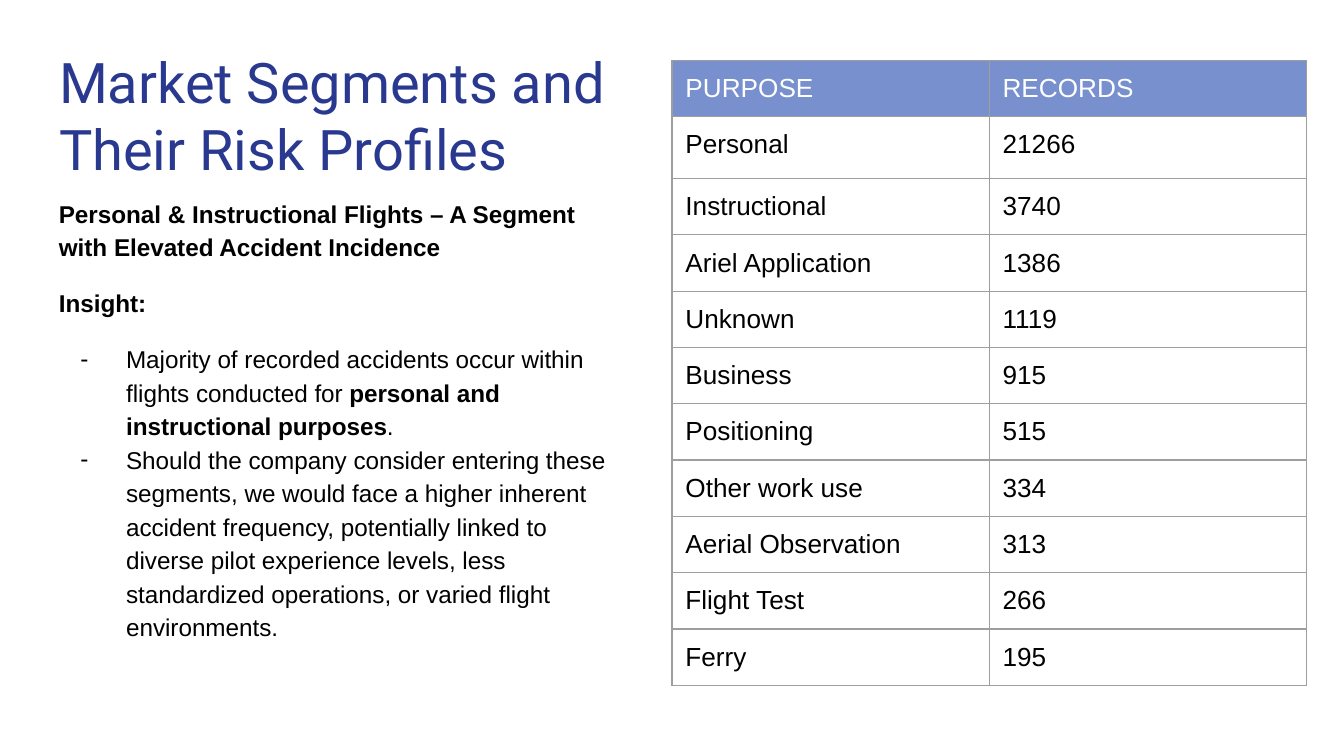
from dataclasses import dataclass

from lxml.etree import SubElement
from pptx import Presentation
from pptx.dml.color import RGBColor
from pptx.enum.text import MSO_ANCHOR as Anchor, MSO_AUTO_SIZE as AutoSize, PP_ALIGN as Align
from pptx.oxml.ns import qn
from pptx.util import Inches, Pt


@dataclass(frozen=True)
class Theme:
    title_font: str = "Roboto"
    body_font: str = "Arial"
    title_size: float = 30
    body_size: float = 13
    table_size: float = 14
    title_color: str = "2A3990"
    text_color: str = "000000"
    header_text: str = "FFFFFF"
    header_fill: str = "7890CD"
    border_color: str = "9E9E9E"
    border_width: float = 0.75
    inset: float = 0.1


@dataclass(frozen=True)
class Passage:
    runs: tuple[tuple[str, bool], ...]
    space_before: float = 12
    bullet: str = ""


@dataclass(frozen=True)
class Segment:
    purpose: str
    records: int


THEME = Theme()
TEXT_LEFT, TEXT_WIDTH = 0.34, 4.37
TABLE_LEFT, TABLE_TOP, COLUMN_WIDTH = 5, 0.45, 2.36
ROW_HEIGHT, FIRST_SEGMENT_HEIGHT = 0.41, 0.46

PASSAGES = (
    Passage((("Personal & Instructional Flights – A Segment with Elevated Accident Incidence", True),)),
    Passage((("Insight:", True),)),
    Passage(
        (
            ("Majority of recorded accidents occur within flights conducted for ", False),
            ("personal and instructional purposes", True),
            (".", False),
        ),
        bullet="-",
    ),
    Passage(
        ((
            "Should the company consider entering these segments, we would face a higher "
            "inherent accident frequency, potentially linked to diverse pilot experience "
            "levels, less standardized operations, or varied flight environments.",
            False,
        ),),
        space_before=0,
        bullet="-",
    ),
)

SEGMENTS = (
    Segment("Personal", 21266),
    Segment("Instructional", 3740),
    Segment("Ariel Application", 1386),
    Segment("Unknown", 1119),
    Segment("Business", 915),
    Segment("Positioning", 515),
    Segment("Other work use", 334),
    Segment("Aerial Observation", 313),
    Segment("Flight Test", 266),
    Segment("Ferry", 195),
)


def add_text(paragraph, text: str, *, size: float, font: str = THEME.body_font,
             color: str = THEME.text_color, bold: bool = False) -> None:
    run = paragraph.add_run()
    run.text = text
    run.font.name = font
    run.font.size = Pt(size)
    run.font.bold = bold
    run.font.color.rgb = RGBColor.from_string(color)


def set_insets(holder) -> None:
    for side in ("left", "top", "right", "bottom"):
        setattr(holder, f"margin_{side}", Inches(THEME.inset))


def prepare_frame(frame) -> None:
    set_insets(frame)
    frame.word_wrap = True
    frame.auto_size = AutoSize.NONE
    frame.vertical_anchor = Anchor.TOP


def add_solid_fill(parent, color: str) -> None:
    fill = SubElement(parent, qn("a:solidFill"))
    SubElement(fill, qn("a:srgbClr"), val=color)


def set_bullet(paragraph, character: str) -> None:
    properties = paragraph._p.get_or_add_pPr()
    properties.set("marL", str(Inches(0.5)))
    properties.set("indent", str(Inches(-0.34)))
    color = SubElement(properties, qn("a:buClr"))
    SubElement(color, qn("a:srgbClr"), val=THEME.text_color)
    SubElement(properties, qn("a:buFont"), typeface=THEME.body_font)
    SubElement(properties, qn("a:buChar"), char=character)


def add_title(slide, text: str) -> None:
    title = slide.shapes.title
    title.left, title.top = Inches(TEXT_LEFT), Inches(0.25)
    title.width, title.height = Inches(TEXT_WIDTH), Inches(0.63)
    prepare_frame(title.text_frame)
    paragraph = title.text_frame.paragraphs[0]
    paragraph.alignment = Align.LEFT
    add_text(paragraph, text, size=THEME.title_size, font=THEME.title_font, color=THEME.title_color)


def add_insight(slide, passages: tuple[Passage, ...]) -> None:
    box = slide.shapes.add_textbox(Inches(TEXT_LEFT), Inches(1.35), Inches(TEXT_WIDTH), Inches(3.82))
    frame = box.text_frame
    prepare_frame(frame)
    for index, passage in enumerate(passages):
        paragraph = frame.add_paragraph() if index else frame.paragraphs[0]
        paragraph.line_spacing = 1.15
        paragraph.space_before = Pt(passage.space_before)
        if passage.bullet:
            set_bullet(paragraph, passage.bullet)
        for text, bold in passage.runs:
            add_text(paragraph, text, size=THEME.body_size, bold=bold)


def set_borders(cell) -> None:
    properties = cell._tc.get_or_add_tcPr()
    for side in ("lnL", "lnR", "lnT", "lnB"):
        line = SubElement(properties, qn(f"a:{side}"), w=str(Pt(THEME.border_width)))
        add_solid_fill(line, THEME.border_color)


def fill_cell(cell, text: str, is_header: bool) -> None:
    set_insets(cell)
    set_borders(cell)
    if is_header:
        cell.fill.solid()
        cell.fill.fore_color.rgb = RGBColor.from_string(THEME.header_fill)
    else:
        cell.fill.background()
    color = THEME.header_text if is_header else THEME.text_color
    add_text(cell.text_frame.paragraphs[0], text, size=THEME.table_size, color=color)


def add_segment_table(slide, segments: tuple[Segment, ...]) -> None:
    rows = [("PURPOSE", "RECORDS")] + [(item.purpose, str(item.records)) for item in segments]
    table = slide.shapes.add_table(
        len(rows), 2, Inches(TABLE_LEFT), Inches(TABLE_TOP),
        Inches(2 * COLUMN_WIDTH), Inches(len(rows) * ROW_HEIGHT),
    ).table
    table.first_row = table.horz_banding = False
    for column in table.columns:
        column.width = Inches(COLUMN_WIDTH)
    for row_index, values in enumerate(rows):
        table.rows[row_index].height = Inches(FIRST_SEGMENT_HEIGHT if row_index == 1 else ROW_HEIGHT)
        for column_index, text in enumerate(values):
            fill_cell(table.cell(row_index, column_index), text, row_index == 0)


def main() -> None:
    presentation = Presentation()
    presentation.slide_width = Inches(10)
    presentation.slide_height = presentation.slide_width * 9 // 16
    slide = presentation.slides.add_slide(presentation.slide_layouts.get_by_name("Title Only"))
    add_title(slide, "Market Segments and Their Risk Profiles")
    add_insight(slide, PASSAGES)
    add_segment_table(slide, SEGMENTS)
    presentation.save("out.pptx")


if __name__ == "__main__":
    main()
